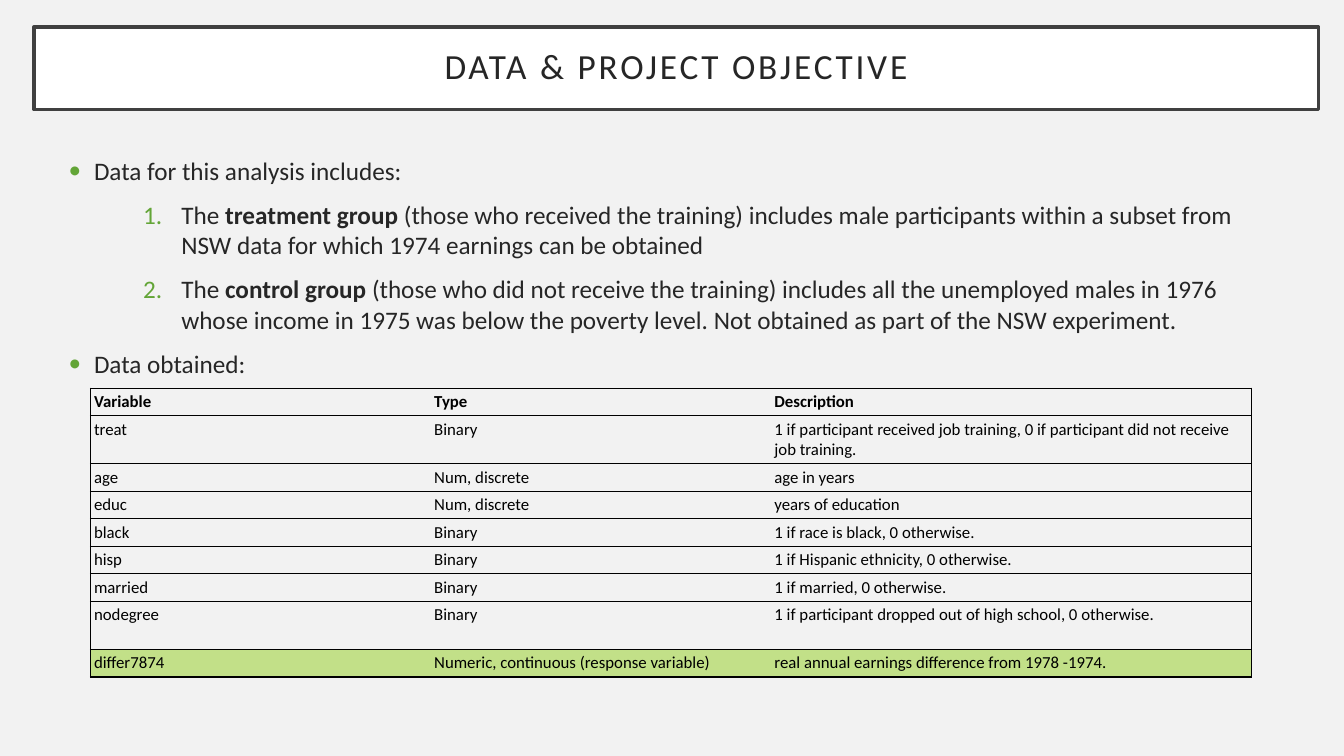
from lxml.etree import SubElement
from pptx import Presentation
from pptx.dml.color import RGBColor
from pptx.enum.shapes import MSO_SHAPE as Shape
from pptx.enum.text import MSO_ANCHOR as Anchor, PP_ALIGN as Align
from pptx.oxml.ns import qn
from pptx.util import Cm, Pt

FONT = "Calibri"
PAGE_GREY = RGBColor(0xF2, 0xF2, 0xF2)
WHITE = RGBColor(0xFF, 0xFF, 0xFF)
BLACK = RGBColor(0x00, 0x00, 0x00)
FRAME_GREY = RGBColor(0x40, 0x40, 0x40)
TEXT_GREY = RGBColor(0x26, 0x26, 0x26)
BULLET_GREEN = RGBColor(0x63, 0xA5, 0x37)
RESPONSE_GREEN = RGBColor(0xC2, 0xE0, 0x88)

DOT = ("buChar", {"char": "•"})
NUMBER = ("buAutoNum", {"type": "arabicPeriod"})

OUTLINE = [
    (0, DOT, ["Data for this analysis includes:"]),
    (3, NUMBER, ["The ", "treatment group",
                 " (those who received the training) includes male participants within "
                 "a subset from NSW data for which 1974 earnings can be obtained"]),
    (3, NUMBER, ["The ", "control group ",
                 "(those who did not receive the training) includes all the unemployed "
                 "males in 1976 whose income in 1975 was below the poverty level. "
                 "Not obtained as part of the NSW experiment."]),
    (0, DOT, ["Data obtained:"]),
]
INDENTS = {0: (Cm(0.64), Cm(0.64)), 3: (Cm(2.84), Cm(0.96))}

VARIABLES = [
    ("Variable", "Type", "Description"),
    ("treat", "Binary", "1 if participant received job training, "
                        "0 if participant did not receive job training."),
    ("age", "Num, discrete", "age in years"),
    ("educ", "Num, discrete", "years of education"),
    ("black", "Binary", "1 if race is black, 0 otherwise."),
    ("hisp", "Binary", "1 if Hispanic ethnicity, 0 otherwise."),
    ("married", "Binary", "1 if married, 0 otherwise."),
    ("nodegree", "Binary", "1 if participant dropped out of high school, 0 otherwise."),
    ("differ7874", "Numeric, continuous (response variable)",
     "real annual earnings difference from 1978 -1974."),
]
TALL_ROWS = {"treat", "nodegree"}
COLUMN_SHARES = (0.293, 0.293, 0.414)


def set_font(font, size, color, bold=None):
    font.name, font.size, font.bold = FONT, Pt(size), bold
    font.color.rgb = color


def set_insets(target, inset):
    target.margin_left = target.margin_right = inset
    target.margin_top = target.margin_bottom = inset


def add_bullet(para, level, bullet):
    left, hanging = INDENTS[level]
    props = para._p.get_or_add_pPr()
    props.set("marL", str(left))
    props.set("indent", str(-hanging))
    color = SubElement(props, qn("a:buClr"))
    SubElement(color, qn("a:srgbClr"), val=str(BULLET_GREEN))
    SubElement(props, qn("a:buFont"), typeface=FONT)
    tag, attributes = bullet
    SubElement(props, qn("a:" + tag), attributes)


def add_borders(cell, visible):
    props = cell._tc.get_or_add_tcPr()
    for side in "LRTB":
        line = SubElement(props, qn("a:ln" + side), w=str(Pt(1)))
        if side in visible:
            fill = SubElement(line, qn("a:solidFill"))
            SubElement(fill, qn("a:srgbClr"), val=str(BLACK))
        else:
            SubElement(line, qn("a:noFill"))


def add_title(page, box, text):
    banner = page.shapes.add_shape(Shape.RECTANGLE, *box)
    banner.shadow.inherit = False
    banner.fill.solid()
    banner.fill.fore_color.rgb = WHITE
    banner.line.color.rgb = FRAME_GREY
    banner.line.width = Pt(2.5)
    frame = banner.text_frame
    frame.word_wrap = True
    frame.vertical_anchor = Anchor.MIDDLE
    set_insets(frame, Cm(0.5))
    para = frame.paragraphs[0]
    para.alignment = Align.CENTER
    para.line_spacing = 0.9
    span = para.add_run()
    span.text = text
    set_font(span.font, 25.2, TEXT_GREY)
    span.font._element.set("spc", "200")


def add_outline(page, box, items):
    frame = page.shapes.add_textbox(*box).text_frame
    frame.word_wrap = True
    for index, (level, bullet, texts) in enumerate(items):
        para = frame.add_paragraph() if index else frame.paragraphs[0]
        para.level = level
        para.space_before = Pt(10 if index else 0)
        set_font(para.font, 18, TEXT_GREY)
        add_bullet(para, level, bullet)
        for position, text in enumerate(texts):
            span = para.add_run()
            span.text = text
            set_font(span.font, 18, TEXT_GREY, bold=position == 1)


def add_variables(page, box, records):
    left, top, width, height = box
    table = page.shapes.add_table(len(records), len(COLUMN_SHARES), *box).table
    table.first_row = table.horz_banding = False
    for column, share in zip(table.columns, COLUMN_SHARES):
        column.width = int(width * share)
    tall = Cm(1.21)
    short = (height - tall * len(TALL_ROWS)) // (len(records) - len(TALL_ROWS))
    for r, record in enumerate(records):
        table.rows[r].height = tall if record[0] in TALL_ROWS else short
        for c, text in enumerate(record):
            cell = table.cell(r, c)
            cell.text = text
            set_insets(cell, Cm(0.09))
            cell.vertical_anchor = Anchor.TOP if r else Anchor.BOTTOM
            set_font(cell.text_frame.paragraphs[0].font, 12, BLACK, bold=r == 0)
            add_borders(cell, "TB" + {0: "L", len(record) - 1: "R"}.get(c, ""))
            if r == len(records) - 1:
                cell.fill.solid()
                cell.fill.fore_color.rgb = RESPONSE_GREEN
            else:
                cell.fill.background()


deck = Presentation()
deck.slide_width, deck.slide_height = Cm(33.87), Cm(19.05)
page = deck.slides.add_slide(deck.slide_layouts[6])
page.background.fill.solid()
page.background.fill.fore_color.rgb = PAGE_GREY
add_title(page, (Cm(0.86), Cm(0.68), Cm(32.37), Cm(2.08)), "DATA & PROJECT OBJECTIVE")
add_outline(page, (Cm(1.48), Cm(3.78), Cm(30.94), Cm(13.39)), OUTLINE)
add_variables(page, (Cm(2.28), Cm(9.78), Cm(29.26), Cm(7.28)), VARIABLES)
deck.save("out.pptx")
